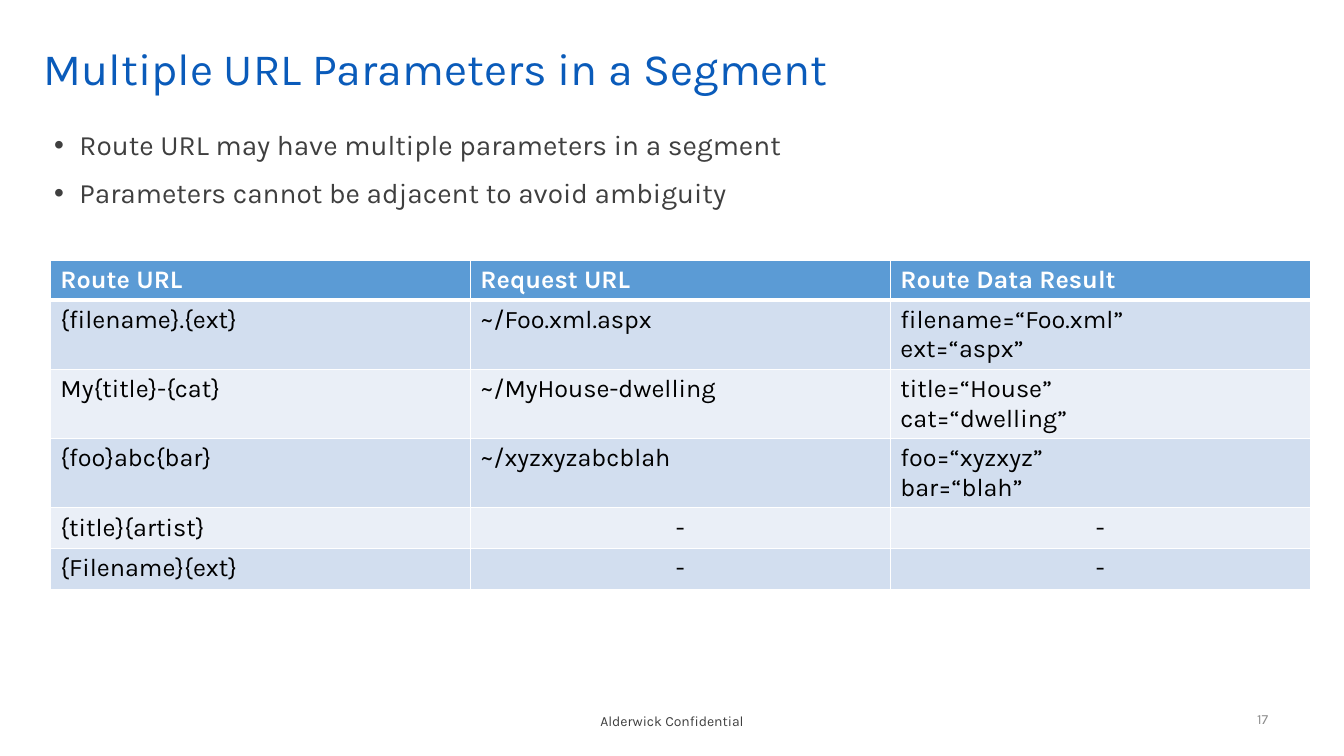
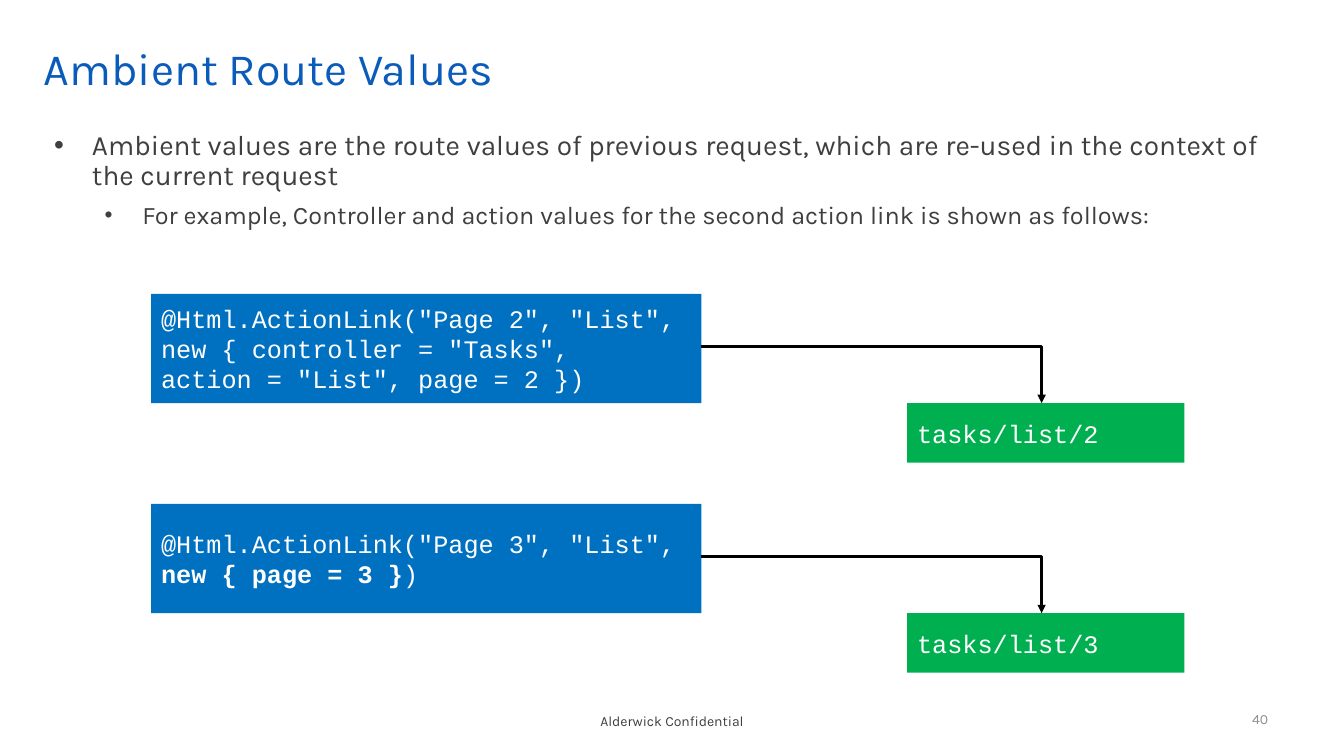
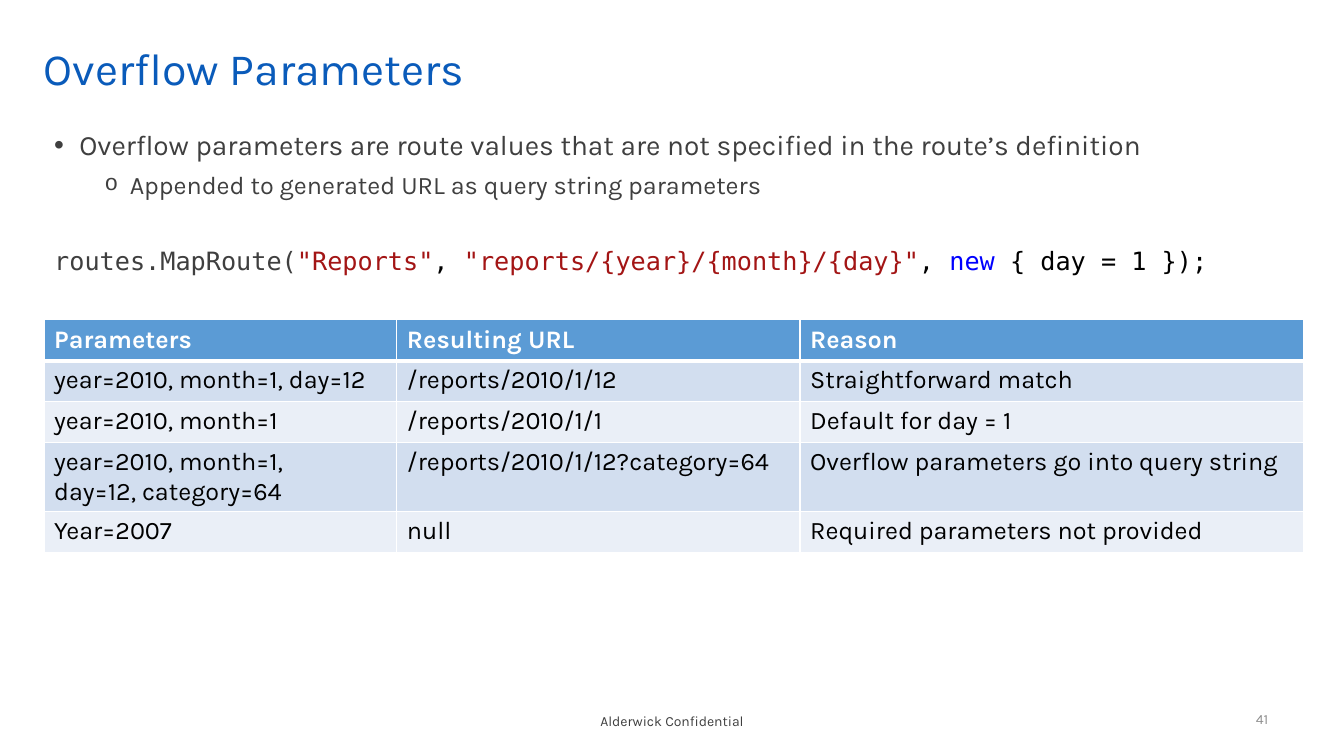
from dataclasses import dataclass
from typing import Any, Optional

import lxml.etree
import pptx
import pptx.dml.color
import pptx.enum.shapes
import pptx.enum.text
import pptx.oxml.ns
import pptx.slide
import pptx.util

Pt = pptx.util.Pt
qn = pptx.oxml.ns.qn
RGB = pptx.dml.color.RGBColor.from_string
Align = pptx.enum.text.PP_ALIGN
Anchor = pptx.enum.text.MSO_ANCHOR


@dataclass(frozen=True)
class Theme:
    font: str = "Karla"
    box_font: str = "Courier New"
    code_font: str = "DejaVu Sans Mono"
    title: str = "0A5BBA"
    body: str = "3F3F3F"
    number: str = "8C8C8C"
    black: str = "000000"
    white: str = "FFFFFF"
    header: str = "5B9BD5"
    bands: tuple[str, str] = ("D2DEEF", "EAEFF7")
    code_box: str = "0070C0"
    url_box: str = "00B050"
    string: str = "A31515"
    keyword: str = "0000FF"
    title_size: float = 32
    body_size: float = 20
    text_size: float = 18
    footer_size: float = 10


T = Theme()


@dataclass(frozen=True)
class Box:
    left: float
    top: float
    width: float
    height: float

    def lengths(self) -> list[int]:
        return [Pt(v) for v in (self.left, self.top, self.width, self.height)]


@dataclass(frozen=True)
class Run:
    text: str
    color: str = T.body
    bold: bool = False


@dataclass(frozen=True)
class Bullet:
    runs: list[Run]
    level: int = 0
    left: float = 18
    hang: float = 18
    mark: Optional[str] = "•"
    mark_font: str = "Arial"
    before: Optional[float] = None
    font: str = T.font


@dataclass(frozen=True)
class Example:
    code: list[Run]
    url: str


@dataclass(frozen=True)
class Grid:
    left: float
    top: float
    widths: list[float]
    header_height: float
    rows: list[list[str]]


TITLE = Box(24, 24, 888, 54)
BODY = Box(31.5, 90, 880, 390)
FOOTER = Box(368, 500.4, 224, 28.8)
NUMBER = Box(697, 499, 216, 28.8)
ROW_HEIGHT = 29.2


def add_text(p: Any, text: str, *, size: float = T.text_size, color: str = T.body,
             font: str = T.font, bold: bool = False, align: Any = Align.LEFT) -> None:
    p.alignment = align
    for i, line in enumerate(text.split("\n")):
        if i:
            p.add_line_break()
        r = p.add_run()
        r.text = line
        r.font.size = Pt(size)
        r.font.name = font
        r.font.bold = bold
        r.font.color.rgb = RGB(color)


def place(sp: Any, box: Box, anchor: Any, inset: float = 7.2) -> Any:
    sp.left, sp.top, sp.width, sp.height = box.lengths()
    tf = sp.text_frame
    tf.word_wrap = True
    tf.auto_size = pptx.enum.text.MSO_AUTO_SIZE.NONE
    tf.vertical_anchor = anchor
    tf.margin_left = tf.margin_right = Pt(inset)
    tf.margin_top = tf.margin_bottom = Pt(3.6)
    return tf


def add_label(slide: pptx.slide.Slide, box: Box, text: str, color: str,
              align: Any, inset: float = 7.2) -> None:
    sp = slide.shapes.add_textbox(*box.lengths())
    tf = place(sp, box, Anchor.MIDDLE, inset)
    add_text(tf.paragraphs[0], text, size=T.footer_size, color=color, align=align)


def set_bullet(p: Any, item: Bullet) -> None:
    p.level = item.level
    pPr = p._p.get_or_add_pPr()
    pPr.set("marL", str(Pt(item.left)))
    pPr.set("indent", str(-Pt(item.hang)))
    if item.mark is None:
        lxml.etree.SubElement(pPr, qn("a:buNone"))
        return
    size = 90000 if item.level else 100000
    lxml.etree.SubElement(pPr, qn("a:buSzPct"), val=str(size))
    lxml.etree.SubElement(pPr, qn("a:buFont"), typeface=item.mark_font)
    lxml.etree.SubElement(pPr, qn("a:buChar"), char=item.mark)


def add_slide(prs: Any, number: int, title: str, bullets: list[Bullet]) -> pptx.slide.Slide:
    slide = prs.slides.add_slide(prs.slide_layouts[1])
    p = place(slide.shapes.title, TITLE, Anchor.MIDDLE).paragraphs[0]
    p.line_spacing = 0.9
    add_text(p, title, size=T.title_size, color=T.title)
    tf = place(slide.placeholders[1], BODY, Anchor.TOP)
    for i, item in enumerate(bullets):
        p = tf.add_paragraph() if i else tf.paragraphs[0]
        set_bullet(p, item)
        p.line_spacing = 0.9
        p.space_after = Pt(3)
        default = 5 if item.level else 10
        before = default if item.before is None else item.before
        p.space_before = Pt(before if i else 0)
        for run in item.runs:
            add_text(p, run.text, size=T.text_size if item.level else T.body_size,
                     color=run.color, font=item.font)
    add_label(slide, FOOTER, "Alderwick Confidential", T.body, Align.CENTER, 14.4)
    add_label(slide, NUMBER, str(number), T.number, Align.RIGHT)
    return slide


def set_borders(cell: Any, top: float, bottom: float) -> None:
    tcPr = cell._tc.get_or_add_tcPr()
    sides = {"a:lnL": 1, "a:lnR": 1, "a:lnT": top, "a:lnB": bottom}
    for i, (tag, width) in enumerate(sides.items()):
        ln = lxml.etree.Element(qn(tag), w=str(Pt(width)))
        fill = lxml.etree.SubElement(ln, qn("a:solidFill"))
        lxml.etree.SubElement(fill, qn("a:srgbClr"), val=T.white)
        tcPr.insert(i, ln)


def add_grid(slide: pptx.slide.Slide, grid: Grid) -> None:
    heights = [grid.header_height] + [ROW_HEIGHT] * (len(grid.rows) - 1)
    box = Box(grid.left, grid.top, sum(grid.widths), sum(heights))
    table = slide.shapes.add_table(len(heights), len(grid.widths), *box.lengths()).table
    table.horz_banding = False
    for column, width in zip(table.columns, grid.widths):
        column.width = Pt(width)
    for i, texts in enumerate(grid.rows):
        table.rows[i].height = Pt(heights[i])
        for j, text in enumerate(texts):
            cell = table.cell(i, j)
            cell.fill.solid()
            cell.fill.fore_color.rgb = RGB(T.bands[(i - 1) % 2] if i else T.header)
            set_borders(cell, 3 if i == 1 else 1, 1 if i else 3)
            tf = cell.text_frame
            for k, line in enumerate(text.split("\n")):
                p = tf.add_paragraph() if k else tf.paragraphs[0]
                add_text(p, line, color=T.black if i else T.white, bold=i == 0,
                         align=Align.CENTER if line == "-" else Align.LEFT)


def add_box(slide: pptx.slide.Slide, box: Box, fill: str, runs: list[Run]) -> None:
    sp = slide.shapes.add_shape(pptx.enum.shapes.MSO_SHAPE.RECTANGLE, *box.lengths())
    sp.shadow.inherit = False
    sp.fill.solid()
    sp.fill.fore_color.rgb = RGB(fill)
    sp.line.fill.background()
    p = place(sp, box, Anchor.MIDDLE).paragraphs[0]
    for run in runs:
        add_text(p, run.text, color=run.color, font=T.box_font, bold=run.bold)


def add_elbow_arrow(slide: pptx.slide.Slide, x1: float, y1: float, x2: float, y2: float) -> None:
    builder = slide.shapes.build_freeform(Pt(x1), Pt(y1))
    builder.add_line_segments([(Pt(x2), Pt(y1)), (Pt(x2), Pt(y2))], close=False)
    sp = builder.convert_to_shape()
    sp.shadow.inherit = False
    sp.fill.background()
    sp.line.color.rgb = RGB(T.black)
    sp.line.width = Pt(2)
    ln = sp._element.spPr.find(qn("a:ln"))
    lxml.etree.SubElement(ln, qn("a:tailEnd"), type="triangle")


def add_example(slide: pptx.slide.Slide, top: float, example: Example) -> None:
    code = Box(108, top, 393, 78)
    url = Box(648, top + code.height, 198, 42.5)
    add_box(slide, code, T.code_box, example.code)
    add_box(slide, url, T.url_box, [Run(example.url, T.white)])
    add_elbow_arrow(slide, code.left + code.width, top + 37.5, 744, url.top)


def segment_slide(prs: Any) -> None:
    slide = add_slide(prs, 17, "Multiple URL Parameters in a Segment", [
        Bullet([Run("Route URL may have multiple parameters in a segment")]),
        Bullet([Run("Parameters cannot be adjacent to avoid ambiguity")]),
    ])
    add_grid(slide, Grid(36, 186, [300] * 3, 24.5, [
        ["Route URL", "Request URL", "Route Data Result"],
        ["{filename}.{ext}", "~/Foo.xml.aspx", "filename=“Foo.xml”\next=“aspx”"],
        ["My{title}-{cat}", "~/MyHouse-dwelling", "title=“House”\ncat=“dwelling”"],
        ["{foo}abc{bar}", "~/xyzxyzabcblah", "foo=“xyzxyz”\nbar=“blah”"],
        ["{title}{artist}", "-", "-"],
        ["{Filename}{ext}", "-", "-"],
    ]))


def ambient_slide(prs: Any) -> None:
    slide = add_slide(prs, 40, "Ambient Route Values", [
        Bullet([Run("Ambient values are the route values of previous request, which are "
                    "re-used in the context of the current request")], left=27, hang=27),
        Bullet([Run("For example, Controller and action values for the second action link "
                    "is shown as follows:")], level=1, left=63, hang=27),
    ])
    examples = [
        Example([Run('@Html.ActionLink("Page 2", "List", new { controller = "Tasks",\n'
                     'action = "List", page = 2 })', T.white)], "tasks/list/2"),
        Example([Run('@Html.ActionLink("Page 3", "List", ', T.white),
                 Run("new { page = 3 }", T.white, True),
                 Run(")", T.white)], "tasks/list/3"),
    ]
    for i, example in enumerate(examples):
        add_example(slide, 210 + 150 * i, example)


def overflow_slide(prs: Any) -> None:
    code = [
        Run("routes.MapRoute("),
        Run('"Reports"', T.string),
        Run(", ", T.black),
        Run('"reports/{year}/{month}/{day}"', T.string),
        Run(", ", T.black),
        Run("new", T.keyword),
        Run(" { day = 1 });", T.black),
    ]
    slide = add_slide(prs, 41, "Overflow Parameters", [
        Bullet([Run("Overflow parameters are route values that are not specified in the "
                    "route’s definition")]),
        Bullet([Run("Appended to generated URL as query string parameters")],
               level=1, left=54, mark="o", mark_font="Courier New"),
        Bullet(code, level=1, left=0, hang=0, mark=None, before=32, font=T.code_font),
    ])
    add_grid(slide, Grid(31.5, 228.5, [252, 288, 360], ROW_HEIGHT, [
        ["Parameters", "Resulting URL", "Reason"],
        ["year=2010, month=1, day=12", "/reports/2010/1/12", "Straightforward match"],
        ["year=2010, month=1", "/reports/2010/1/1", "Default for day = 1"],
        ["year=2010, month=1,\nday=12, category=64", "/reports/2010/1/12?category=64",
         "Overflow parameters go into query string"],
        ["Year=2007", "null", "Required parameters not provided"],
    ]))


def main() -> None:
    prs = pptx.Presentation()
    prs.slide_width, prs.slide_height = Pt(960), Pt(540)
    segment_slide(prs)
    ambient_slide(prs)
    overflow_slide(prs)
    prs.save("out.pptx")


if __name__ == "__main__":
    main()
